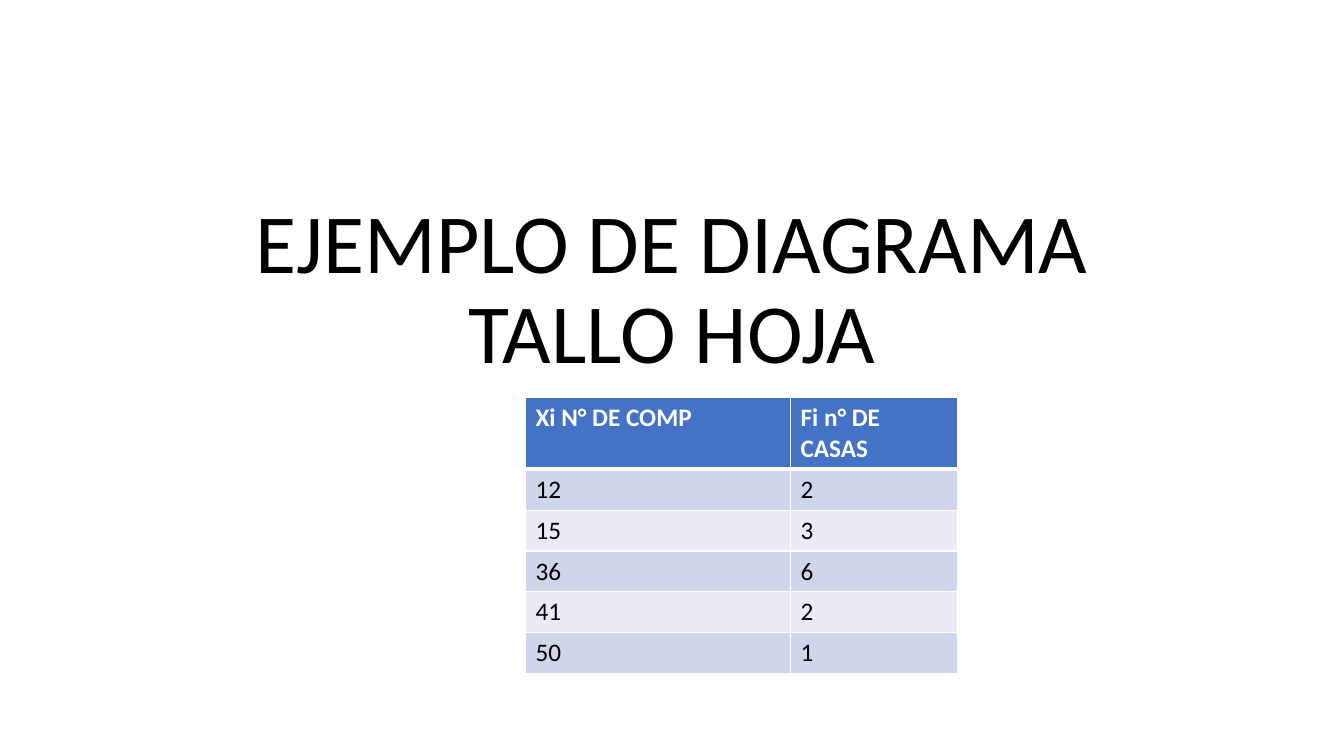
"""Build the stem-and-leaf example slide."""
import lxml.etree
import pptx
import pptx.dml.color
import pptx.enum.text
import pptx.oxml.ns
import pptx.util

Pt = pptx.util.Pt
qn = pptx.oxml.ns.qn

COLORS = {
    "text": "000000",
    "white": "FFFFFF",
    "header": "4472C4",
    "band_dark": "CFD5EA",
    "band_light": "E9EBF5",
}
ROWS = [
    ("Xi N° DE COMP", "Fi n° DE CASAS"),
    ("12", "2"),
    ("15", "3"),
    ("36", "6"),
    ("41", "2"),
    ("50", "1"),
]


def rgb(name):
    return pptx.dml.color.RGBColor.from_string(COLORS[name])


def write(tf, text, font="Calibri", size=18, color="text", bold=False,
          align=None, spacing=None):
    p = tf.paragraphs[0]
    p.alignment = align
    p.line_spacing = spacing
    r = p.add_run()
    r.text = text
    r.font.name = font
    r.font.size = Pt(size)
    r.font.bold = bold
    r.font.color.rgb = rgb(color)


class Deck:
    def __init__(self, width, height):
        self.prs = pptx.Presentation()
        self.prs.slide_width = Pt(width)
        self.prs.slide_height = Pt(height)
        self.s = None

    def slide(self):
        self.s = self.prs.slides.add_slide(self.prs.slide_layouts[5])
        self.s.background.fill.solid()
        self.s.background.fill.fore_color.rgb = rgb("white")

    def title(self, text, left, top, width, height):
        sp = self.s.shapes.title
        sp.left, sp.top = Pt(left), Pt(top)
        sp.width, sp.height = Pt(width), Pt(height)
        tf = sp.text_frame
        tf.word_wrap = True
        tf.auto_size = pptx.enum.text.MSO_AUTO_SIZE.NONE
        tf.vertical_anchor = pptx.enum.text.MSO_ANCHOR.BOTTOM
        write(tf, text, size=60, spacing=0.9,
              align=pptx.enum.text.PP_ALIGN.CENTER)

    def borders(self, cell, **widths):
        tcPr = cell._tc.get_or_add_tcPr()
        for side in "LRTB":
            ln = lxml.etree.SubElement(tcPr, qn(f"a:ln{side}"),
                                       w=str(Pt(widths.get(side, 1))))
            fill = lxml.etree.SubElement(ln, qn("a:solidFill"))
            lxml.etree.SubElement(fill, qn("a:srgbClr"), val=COLORS["white"])

    def table(self, rows, left, top, col_widths, row_height):
        table = self.s.shapes.add_table(
            len(rows), len(col_widths), Pt(left), Pt(top),
            Pt(sum(col_widths)), Pt(row_height * len(rows))).table
        for column, width in zip(table.columns, col_widths):
            column.width = Pt(width)
        for i, values in enumerate(rows):
            table.rows[i].height = Pt(row_height)
            header = i == 0
            band = "band_dark" if i % 2 else "band_light"
            for j, value in enumerate(values):
                cell = table.cell(i, j)
                self.borders(cell, B=3 if header else 1, T=3 if i == 1 else 1)
                cell.fill.solid()
                cell.fill.fore_color.rgb = rgb("header" if header else band)
                write(cell.text_frame, value, bold=header,
                      color="white" if header else "text")


def main():
    deck = Deck(960, 540)
    deck.slide()
    deck.title("EJEMPLO DE DIAGRAMA TALLO HOJA", 120, 88.4, 720, 188)
    deck.table(ROWS, 375.4, 284, (189.3, 119.5), 29.2)
    deck.prs.save("out.pptx")


if __name__ == "__main__":
    main()
